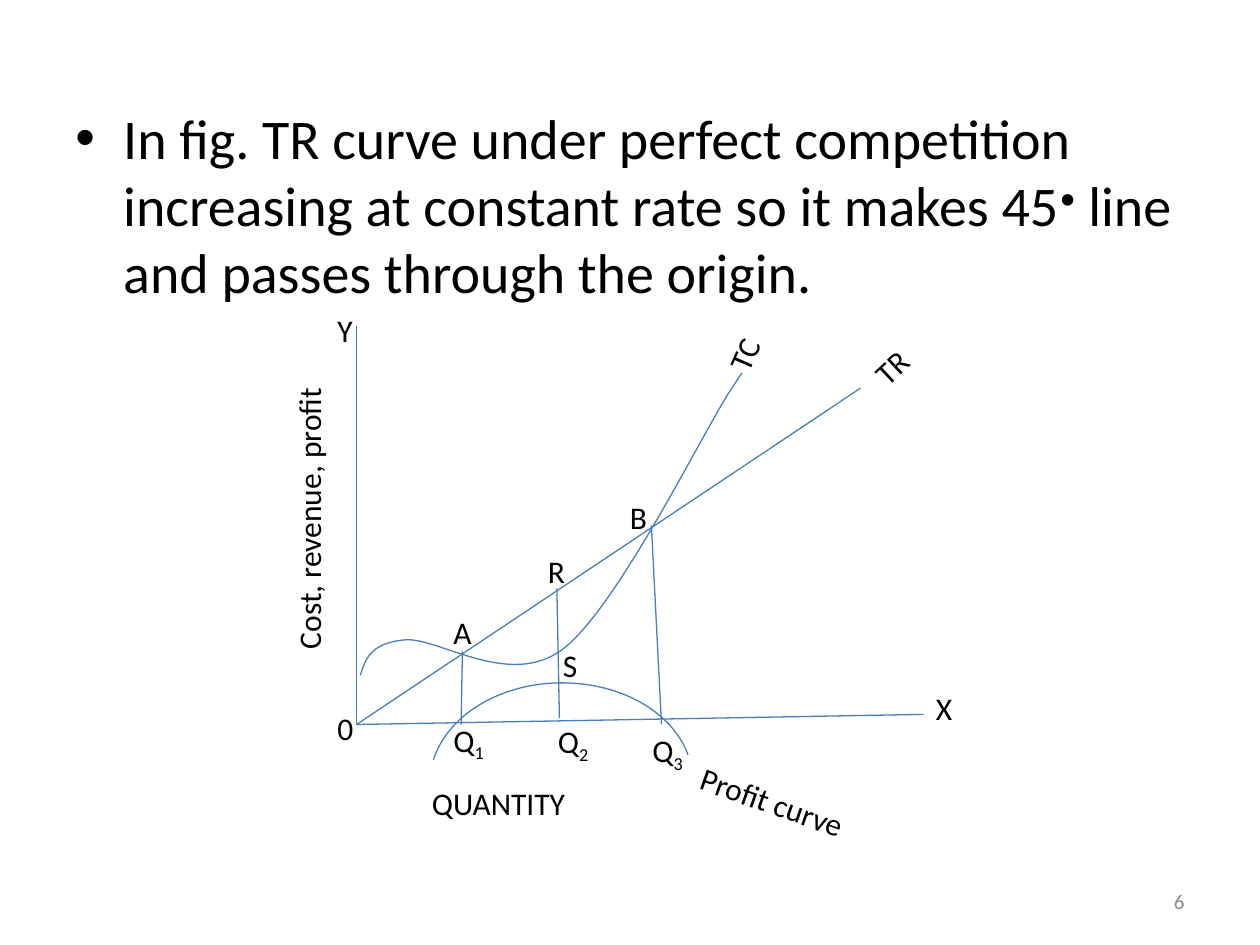
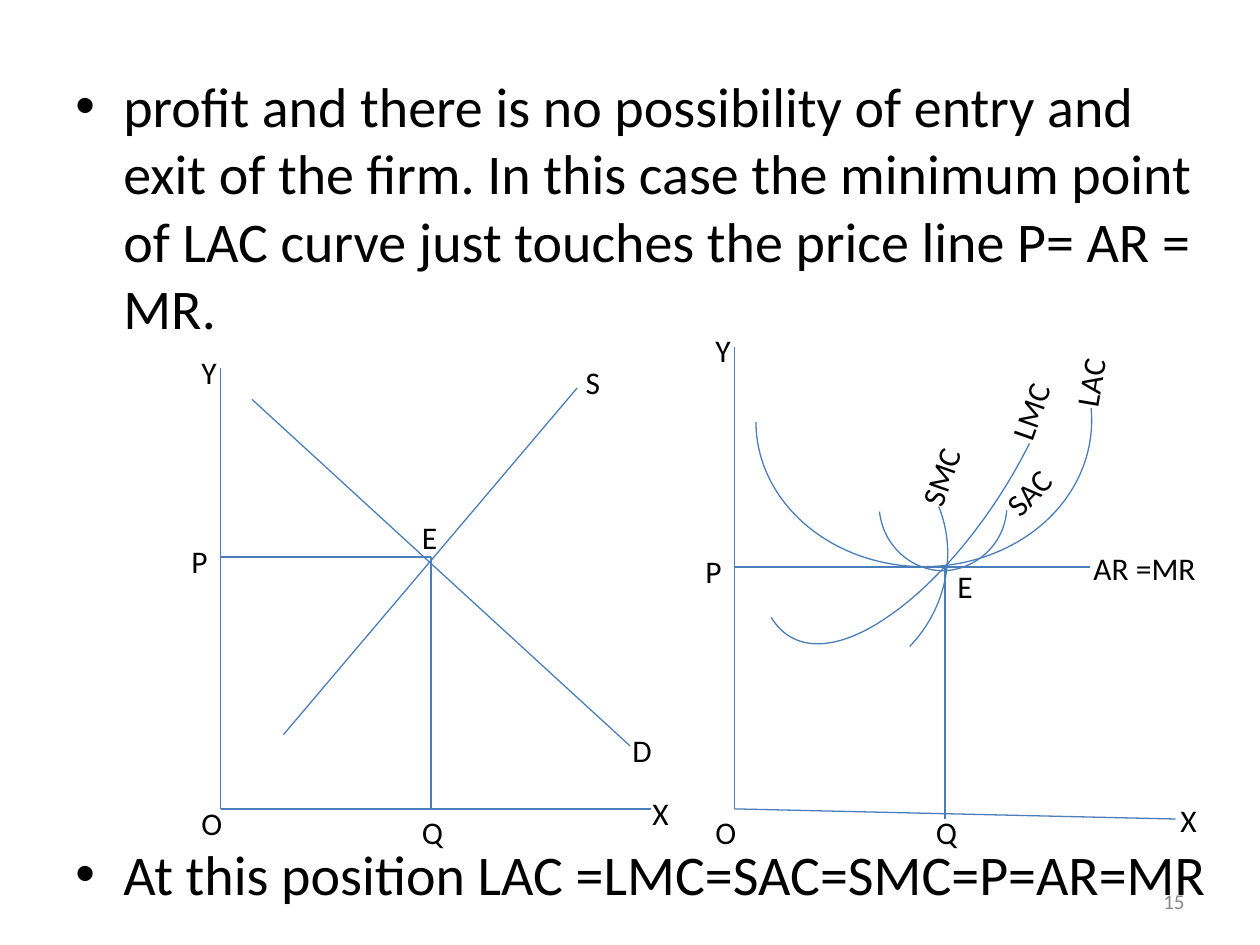
from lxml.etree import SubElement
from pptx import Presentation
from pptx.dml.color import RGBColor
from pptx.enum.shapes import MSO_CONNECTOR
from pptx.enum.text import MSO_ANCHOR, PP_ALIGN
from pptx.oxml.ns import qn
from pptx.util import Inches, Pt

BLACK = RGBColor(0x00, 0x00, 0x00)
GREY = RGBColor(0x89, 0x89, 0x89)
BLUE = RGBColor(0x4A, 0x7E, 0xBB)
FONT = "Calibri"
SUPER, SUB = 30, -25


class Deck:
    def __init__(self):
        self.show = Presentation()
        self.show.slide_width = Inches(10)
        self.show.slide_height = Inches(7.5)

    def page(self, number):
        """Start a slide and put its number in the footer."""
        blank = self.show.slide_layouts[6]
        self.shapes = self.show.slides.add_slide(blank).shapes
        frame = self.box(7.17, 6.95, 2.33, 0.4).text_frame
        frame.vertical_anchor = MSO_ANCHOR.MIDDLE
        para = frame.paragraphs[0]
        para.alignment = PP_ALIGN.RIGHT
        self.run(para, str(number), 12, GREY)

    def box(self, left, top, width, height):
        box = self.shapes.add_textbox(*map(Inches, (left, top, width, height)))
        box.text_frame.word_wrap = True
        return box

    def run(self, para, text, size, color=BLACK, base=0):
        """Add a run; base is its shift from the baseline in percent."""
        run = para.add_run()
        run.text = text
        font = run.font
        font.name, font.size, font.color.rgb = FONT, Pt(size), color
        if base:
            run._r.get_or_add_rPr().set("baseline", str(base * 1000))

    def body(self, left, top, width, height, items, gap=0):
        """Add bullets, each a list of (text, base) runs, gap points apart."""
        frame = self.box(left, top, width, height).text_frame
        for i, runs in enumerate(items):
            para = frame.add_paragraph() if i else frame.paragraphs[0]
            props = para._p.get_or_add_pPr()
            props.set("marL", str(Inches(0.38)))
            props.set("indent", str(Inches(-0.38)))
            SubElement(props, qn("a:buFont"), typeface="Arial")
            SubElement(props, qn("a:buChar"), char="•")
            if i:
                para.space_before = Pt(gap)
            for text, base in runs:
                self.run(para, text, 32, base=base)

    def label(self, text, left, top, width, turn=0, sub=""):
        box = self.box(left, top, width, 0.4)
        box.rotation = turn
        para = box.text_frame.paragraphs[0]
        self.run(para, text, 18)
        if sub:
            self.run(para, sub, 18, base=SUB)

    def line(self, start, end):
        line = self.shapes.add_connector(
            MSO_CONNECTOR.STRAIGHT, *map(Inches, start + end))
        self.pen(line)
        SubElement(line._element.spPr, qn("a:effectLst"))

    def curve(self, start, *points):
        """Draw a Bézier curve; each three points are two handles and an end."""
        build = self.shapes.build_freeform(*map(Inches, start))
        build.add_line_segments(
            [tuple(map(Inches, point)) for point in points], close=False)
        shape = build.convert_to_shape()
        shape.shadow.inherit = False
        shape.fill.background()
        self.pen(shape)
        trace = shape._element.find(".//" + qn("a:path"))
        legs = list(trace)[1:]
        for i in range(0, len(legs), 3):
            cubic = SubElement(trace, qn("a:cubicBezTo"))
            for leg in legs[i:i + 3]:
                cubic.append(leg[0])
                trace.remove(leg)

    def pen(self, shape):
        shape.line.color.rgb = BLUE
        shape.line.width = Pt(0.75)


def profit(deck):
    """Total cost, total revenue and the profit between them."""
    deck.page(6)
    deck.body(0.5, 0.77, 9, 5.95, [[
        ("In fig. TR curve under perfect competition increasing at constant "
         "rate so it makes 45", 0),
        ("•", SUPER),
        (" line and passes through the origin.", 0)]])

    zero = (2.83, 5.75)
    for start, end in (
            ((2.83, 2.59), zero),           # Y axis
            (zero, (7.33, 5.67)),           # X axis
            (zero, (6.83, 3.08)),           # TR
            ((3.67, 5.17), (3.66, 5.75)),   # A to Q1
            ((4.42, 4.67), (4.44, 5.7)),    # R to Q2
            ((5.17, 4.17), (5.25, 5.75))):  # B to Q3
        deck.line(start, end)

    # TC, then profit
    deck.curve((2.86, 5.36), (2.9, 5.24), (2.93, 5.11), (3.2, 5.08),
               (3.46, 5.04), (4.04, 5.48), (4.47, 5.15),
               (4.9, 4.82), (5.57, 3.45), (5.79, 3.11),
               (5.83, 3.05), (5.86, 3), (5.89, 2.96))
    deck.curve((5.46, 5.99), (5.33, 5.64), (4.91, 5.41), (4.43, 5.42),
               (3.96, 5.43), (3.55, 5.68), (3.44, 6.03))

    for sub, left, top in (("1", 3.5, 5.67), ("2", 4.33, 5.68),
                           ("3", 5.08, 5.75)):
        deck.label("Q", left, top, 0.58, sub=sub)
    for mark in (
            ("Profit curve", 5.38, 6.52, 3.53, 19.4),
            ("QUANTITY", 3.33, 6.17, 1.67),
            ("Cost, revenue, profit", 0.91, 3.51, 3.08, 270),
            ("0", 2.58, 5.58, 0.45),
            ("Y", 2.58, 2.42, 0.28),
            ("TC", 5.62, 2.52, 0.65, 293.8),
            ("TR", 6.83, 2.67, 0.58, 317),
            ("X", 7.33, 5.42, 0.25),
            ("A", 3.5, 4.82, 0.37),
            ("B", 4.9, 3.9, 0.37),
            ("R", 4.25, 4.33, 0.33),
            ("S", 4.37, 5.08, 0.37)):
        deck.label(*mark)


def balance(deck):
    """Long-run balance of the market (left) and the firm (right)."""
    deck.page(15)
    deck.body(0.5, 0.52, 9.25, 6.9, [
        [("profit and there is no possibility of entry and exit of the firm. "
          "In this case the minimum point of LAC curve just touches the price "
          "line P= AR = MR.", 0)],
        [("At this position LAC =LMC=SAC=SMC=P=AR=MR", 0)]], gap=285)

    left, right = (1.75, 6.42), (5.83, 6.42)
    meet, touch = (3.42, 4.42), (7.5, 4.5)
    for start, end in (
            ((1.75, 2.92), left), (left, (5.17, 6.42)),     # market axes
            ((5.83, 2.75), right), (right, (9.33, 6.5)),    # firm axes
            ((2, 3.17), (5, 5.92)),                         # demand
            ((2.25, 5.83), (4.58, 3.08)),                   # supply
            ((5.83, 4.5), (8.65, 4.5)),                     # AR = MR
            (meet, (1.75, 4.42)), (meet, (3.42, 6.42)),
            (touch, (7.5, 6.5))):
        deck.line(start, end)

    # LAC, LMC, SAC, SMC
    deck.curve((8.66, 3.24), (8.7, 3.67), (8.47, 4.08), (8.06, 4.31),
               (7.65, 4.54), (7.13, 4.56), (6.7, 4.36),
               (6.27, 4.16), (6, 3.77), (6, 3.35))
    deck.curve((8.17, 3.52), (7.87, 4.12), (7.44, 4.63), (7.04, 4.9),
               (6.63, 5.18), (6.29, 5.18), (6.12, 4.9))
    deck.curve((7.99, 4.05), (7.97, 4.32), (7.75, 4.52), (7.49, 4.53),
               (7.23, 4.53), (7.01, 4.33), (6.98, 4.06))
    deck.curve((7.45, 4.02), (7.6, 4.39), (7.51, 4.83), (7.22, 5.13))

    for mark in (
            ("E", 7.5, 4.45, 0.28),
            ("P", 1.42, 4.25, 0.33),
            ("E", 3.25, 4.06, 0.37),
            ("S", 4.55, 2.83, 0.37),
            ("D", 4.92, 5.75, 0.37),
            ("Y", 1.5, 2.75, 0.58),
            ("Q", 3.25, 6.4, 0.37),
            ("Q", 7.33, 6.4, 0.42),
            ("LAC", 8.29, 2.75, 0.75, 279.8),
            ("LMC", 7.76, 2.94, 0.92, 289.4),
            ("SAC", 7.85, 3.66, 0.71, 313.7),
            ("SMC", 7.01, 3.41, 1.03, 289.4),
            ("AR =MR", 8.58, 4.31, 1.08),
            ("P", 5.5, 4.33, 0.33),
            ("Y", 5.58, 2.58, 0.37),
            ("O", 5.58, 6.4, 0.37),
            ("O", 1.5, 6.33, 0.37),
            ("X", 5.08, 6.25, 0.37),
            ("X", 9.27, 6.31, 0.5)):
        deck.label(*mark)


def main():
    deck = Deck()
    profit(deck)
    balance(deck)
    deck.show.save("out.pptx")


if __name__ == "__main__":
    main()
